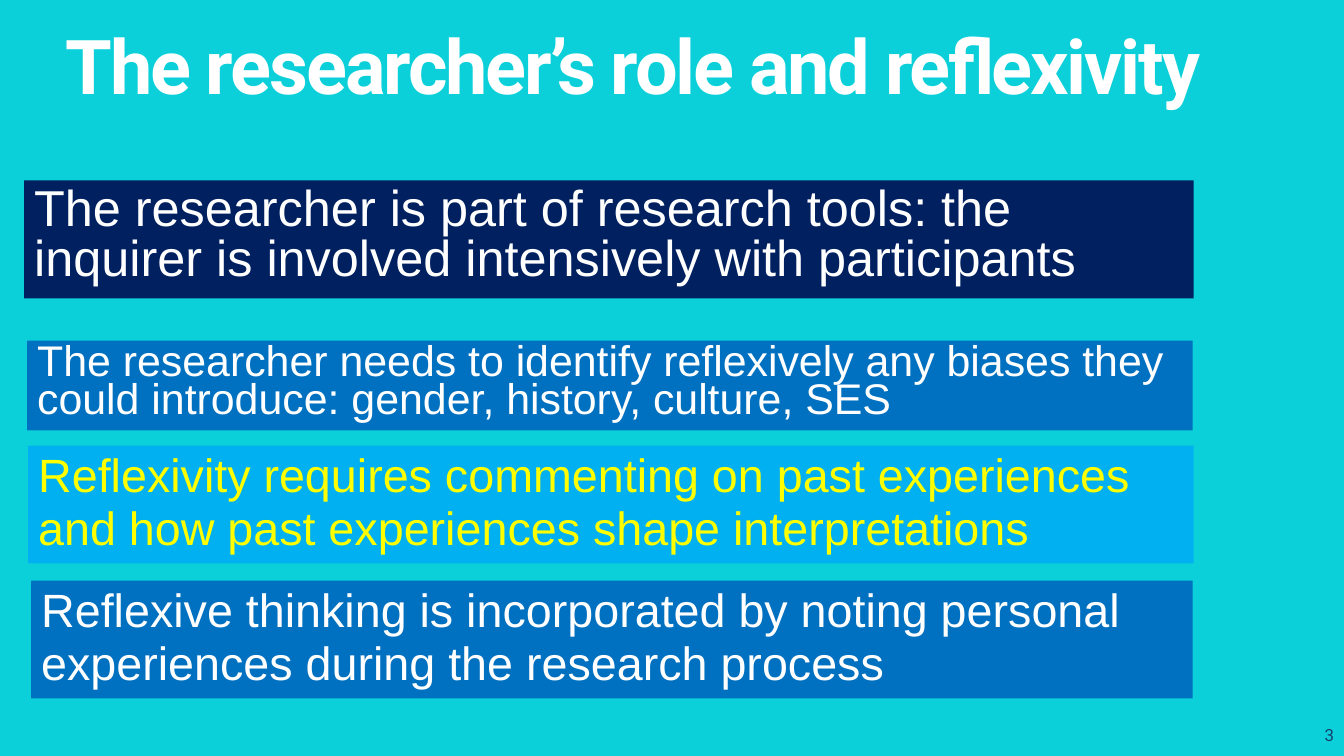
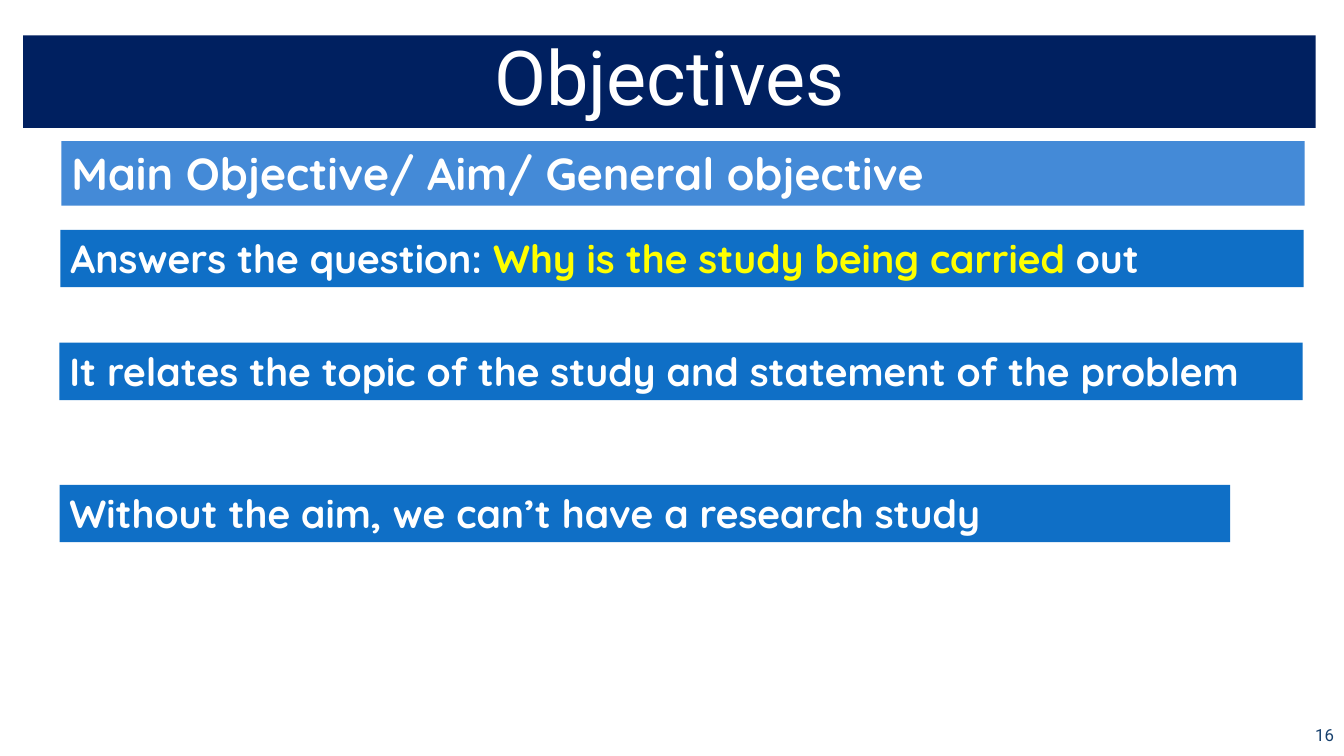
from dataclasses import dataclass

from pptx import Presentation
from pptx.dml.color import RGBColor
from pptx.enum.shapes import MSO_SHAPE
from pptx.enum.text import MSO_ANCHOR, PP_ALIGN
from pptx.presentation import Presentation as Deck
from pptx.slide import Slide
from pptx.util import Emu, Pt

EMU_PER_PX = 9144  # 100 px to the inch
SLIDE_WIDTH, SLIDE_HEIGHT = 1333, 750


@dataclass(frozen=True)
class Theme:
    turquoise: str = "0BD0D9"
    white: str = "FFFFFF"
    yellow: str = "FFFF00"
    navy: str = "002060"
    ocean: str = "0070C0"
    sky: str = "00B0F0"
    pale_blue: str = "448AD7"
    blue: str = "0F6FC6"
    slate: str = "17406D"
    title_font: str = "Roboto"
    reflexivity_font: str = "Arial"
    objectives_font: str = "Quicksand"
    title_size: float = 54
    number_size: float = 12
    lead_size: float = 36
    point_size: float = 33.3
    tight_size: float = 30.6
    aim_size: float = 32
    answer_size: float = 28


THEME = Theme()


@dataclass(frozen=True)
class TextStyle:
    font: str
    size: float
    color: str = THEME.white
    bold: bool = False
    align: PP_ALIGN = PP_ALIGN.LEFT
    line_spacing: float = 1.0
    space_after: float = 0
    tracking: float = 0
    anchor: MSO_ANCHOR = MSO_ANCHOR.TOP


@dataclass(frozen=True)
class Span:
    text: str
    color: str


@dataclass(frozen=True)
class Band:
    """A line of text in a box; without a fill it is a plain text box."""
    left: int
    top: int
    width: int
    height: int
    spans: tuple[Span, ...]
    style: TextStyle
    fill: str | None = None


def px(length: int) -> Emu:
    return Emu(length * EMU_PER_PX)


def rgb(color: str) -> RGBColor:
    return RGBColor.from_string(color)


def plain(text: str, style: TextStyle) -> tuple[Span, ...]:
    return (Span(text, style.color),)


def draw_band(slide: Slide, band: Band) -> None:
    place = [px(n) for n in (band.left, band.top, band.width, band.height)]
    if band.fill:
        box = slide.shapes.add_shape(MSO_SHAPE.RECTANGLE, *place)
        box.shadow.inherit = False
        box.fill.solid()
        box.fill.fore_color.rgb = rgb(band.fill)
        box.line.fill.background()
    else:
        box = slide.shapes.add_textbox(*place)
    style = band.style
    frame = box.text_frame
    frame.word_wrap = True
    frame.vertical_anchor = style.anchor
    paragraph = frame.paragraphs[0]
    paragraph.alignment = style.align
    paragraph.line_spacing = style.line_spacing
    paragraph.space_after = Pt(style.space_after)
    paragraph.font.name = style.font
    paragraph.font.size = Pt(style.size)
    paragraph.font.bold = style.bold
    if len(band.spans) == 1:
        paragraph.font.color.rgb = rgb(band.spans[0].color)
    for span in band.spans:
        run = paragraph.add_run()
        run.text = span.text
        if len(band.spans) > 1:
            run.font.color.rgb = rgb(span.color)
        if style.tracking:
            run._r.get_or_add_rPr().set("spc", str(round(style.tracking * 100)))


def add_slide(deck: Deck, background: str, number: int, title: Band,
              bands: list[Band]) -> None:
    slide = deck.slides.add_slide(deck.slide_layouts[6])
    slide.background.fill.solid()
    slide.background.fill.fore_color.rgb = rgb(background)
    number_style = TextStyle(THEME.title_font, THEME.number_size, THEME.slate,
                             align=PP_ALIGN.RIGHT, anchor=MSO_ANCHOR.MIDDLE)
    page_number = Band(1276, 709, 57, 40, plain(str(number), number_style), number_style)
    for band in (title, page_number, *bands):
        draw_band(slide, band)


def reflexivity_band(left: int, top: int, width: int, height: int, text: str, fill: str,
                     size: float = THEME.point_size, line_spacing: float = 0.94,
                     color: str = THEME.white) -> Band:
    style = TextStyle(THEME.reflexivity_font, size, color,
                      line_spacing=line_spacing, space_after=2)
    return Band(left, top, width, height, plain(text, style), style, fill)


def add_reflexivity(deck: Deck) -> None:
    title_style = TextStyle(THEME.title_font, THEME.title_size, bold=True,
                            line_spacing=0.9, tracking=-1.5)
    title = Band(55, 24, 1152, 174,
                 plain("The researcher’s role and reflexivity", title_style), title_style)
    add_slide(deck, THEME.turquoise, 3, title, [
        reflexivity_band(
            24, 179, 1160, 117,
            "The researcher is part of research tools: the inquirer is involved "
            "intensively with participants",
            THEME.navy, THEME.lead_size, 0.84),
        reflexivity_band(
            27, 338, 1156, 89,
            "The researcher needs to identify reflexively any biases they could "
            "introduce: gender, history, culture, SES",
            THEME.ocean, THEME.tight_size, 0.74),
        reflexivity_band(
            28, 442, 1156, 117,
            "Reflexivity requires commenting on past experiences and how past "
            "experiences shape interpretations",
            THEME.sky, color=THEME.yellow),
        reflexivity_band(
            31, 576, 1152, 117,
            "Reflexive thinking is incorporated by noting personal experiences "
            "during the research process",
            THEME.ocean),
    ])


def add_objectives(deck: Deck) -> None:
    title_style = TextStyle(THEME.title_font, THEME.title_size,
                            align=PP_ALIGN.CENTER, line_spacing=0.9)
    aim = TextStyle(THEME.objectives_font, THEME.aim_size, bold=True)
    answer = TextStyle(THEME.objectives_font, THEME.answer_size, bold=True)
    question = (Span("Answers the question: ", THEME.white),
                Span("Why is the study being carried", THEME.yellow),
                Span(" out", THEME.white))
    topic = plain("It relates the topic of the study and statement of the problem", answer)
    need = plain("Without the aim, we can’t have a research study", answer)
    title = Band(23, 35, 1282, 92, plain("Objectives", title_style), title_style, THEME.navy)
    add_slide(deck, THEME.white, 16, title, [
        Band(61, 140, 1233, 64, plain("Main Objective/ Aim/ General objective", aim),
             aim, THEME.pale_blue),
        Band(60, 228, 1233, 57, question, answer, THEME.blue),
        Band(59, 340, 1233, 57, topic, answer, THEME.blue),
        Band(59, 481, 1161, 57, need, answer, THEME.blue),
    ])


def main() -> None:
    deck = Presentation()
    deck.slide_width, deck.slide_height = px(SLIDE_WIDTH), px(SLIDE_HEIGHT)
    add_reflexivity(deck)
    add_objectives(deck)
    deck.save("out.pptx")


if __name__ == "__main__":
    main()
